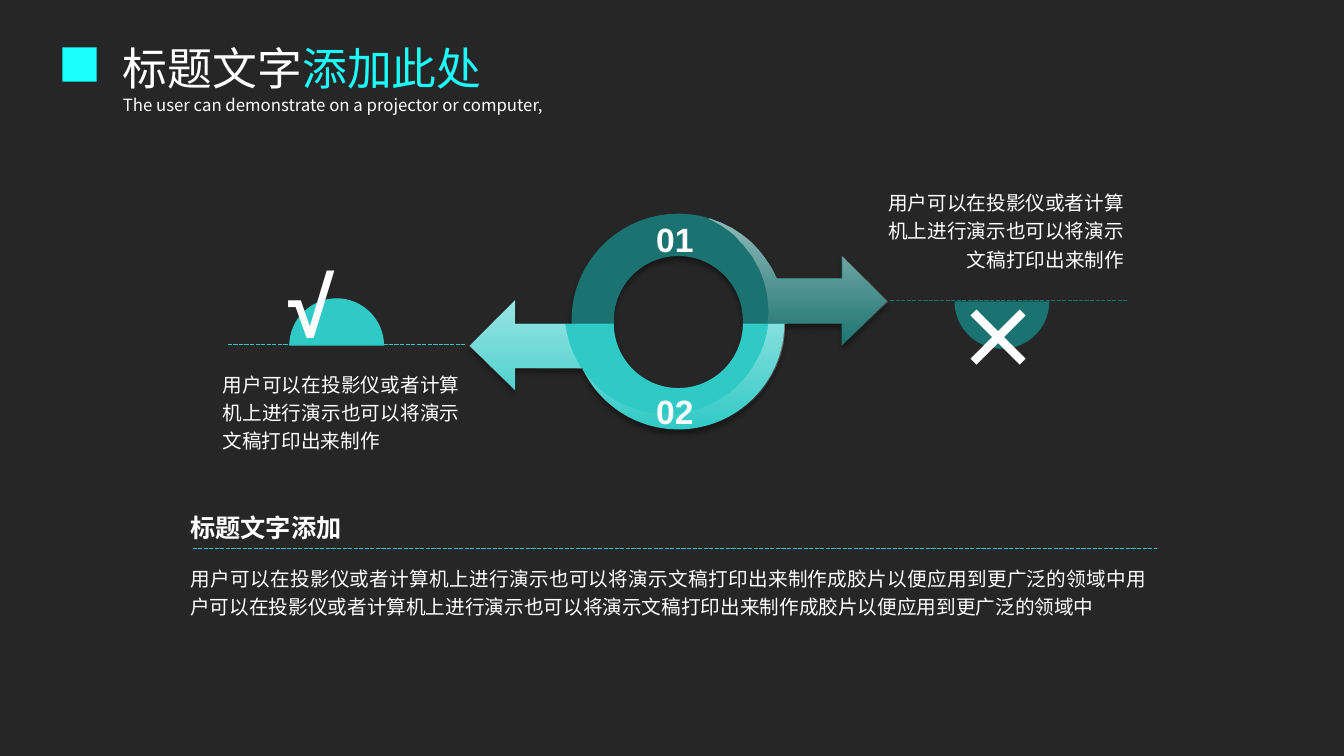
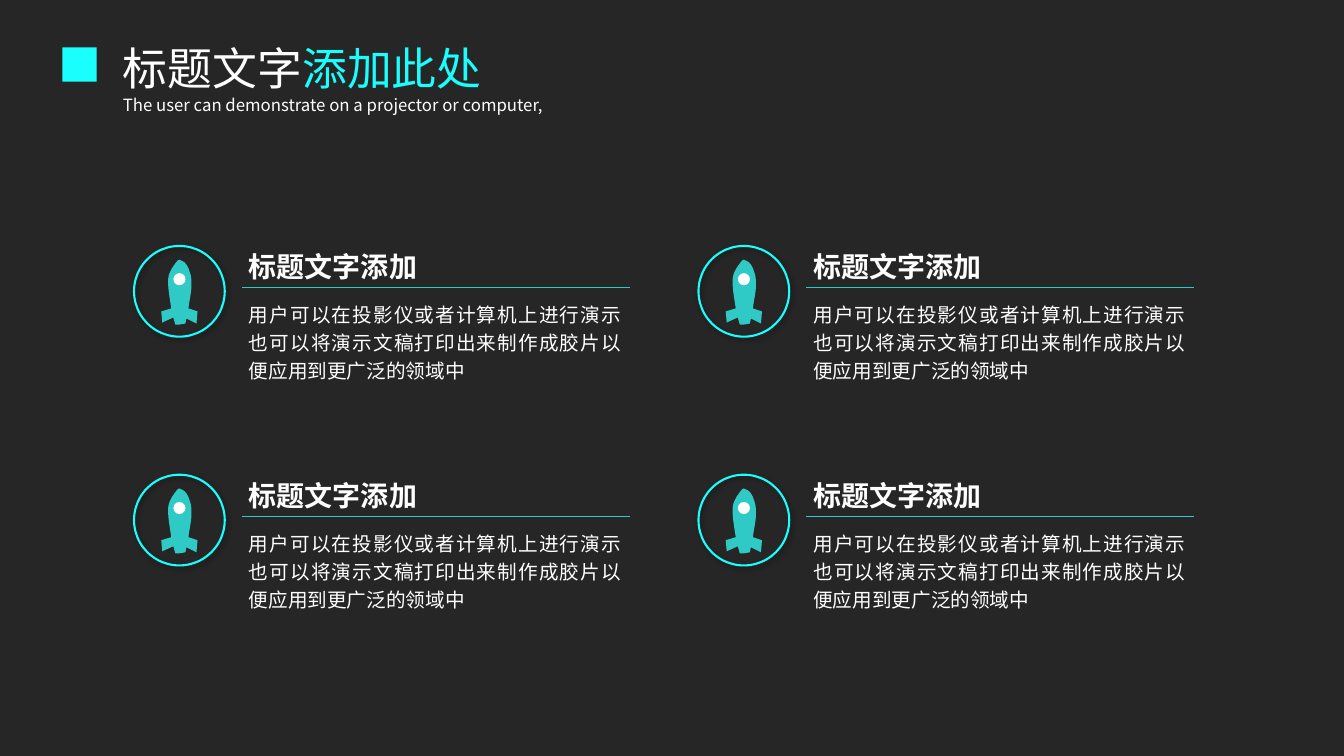
from math import ceil, cos, floor, radians, sin, tan

from pptx import Presentation
from pptx.dml.color import RGBColor
from pptx.enum.dml import MSO_LINE
from pptx.enum.shapes import MSO_CONNECTOR, MSO_SHAPE
from pptx.enum.text import MSO_AUTO_SIZE, PP_ALIGN
from pptx.oxml.ns import qn
from pptx.oxml.xmlchemy import OxmlElement
from pptx.util import Emu, Pt

PX = 9144  # 100 px to the inch
PAGE_WIDTH, PAGE_HEIGHT = Emu(12192000), Emu(6858000)

BLACK = "000000"
WHITE = "FFFFFF"
CYAN = "1AFFFE"
TURQUOISE = "30CAC6"
TEAL = "1B7371"

LATIN = "Arial"
CJK = "Noto Sans CJK SC"

OVAL = MSO_SHAPE.OVAL
RECTANGLE = MSO_SHAPE.RECTANGLE
STRAIGHT = MSO_CONNECTOR.STRAIGHT
DASHED = MSO_LINE.SQUARE_DOT
FIT_SHAPE = MSO_AUTO_SIZE.SHAPE_TO_FIT_TEXT
LEFT, CENTER, RIGHT, JUSTIFY = (
    PP_ALIGN.LEFT, PP_ALIGN.CENTER, PP_ALIGN.RIGHT, PP_ALIGN.JUSTIFY)

HEADING = "标题文字添加"
SHORT_BODY = "用户可以在投影仪或者计算机上进行演示也可以将演示文稿打印出来制作"
BODY = SHORT_BODY + "成胶片以便应用到更广泛的领域中"

# Offsets from the icon ring's top left corner; six numbers make a curve
ROCKET = [
    (37, 62), (36, 55, 33, 40, 34, 32), (35, 24, 40, 19, 42, 16),
    (44, 13, 46, 13, 48, 15), (51, 16, 54, 21, 55, 25),
    (57, 30, 57, 33, 57, 39), (57, 47, 55, 53, 54, 62),
    (63, 65), (62, 77), (52, 72), (51, 77), (45, 78), (41, 78), (39, 71),
    (28, 76), (27, 65)]


def rgb(color):
    return RGBColor.from_string(color)


def emu(*lengths):
    return [round(length * PX) for length in lengths]


def arc(x, y, radius, start, end):
    """A point and the curves after it, split at each quarter of the circle.

    Degrees run clockwise from the right.
    """
    low, high = sorted((start, end))
    quarters = range(floor(low / 90) + 1, ceil(high / 90))
    stops = [low, *(90 * quarter for quarter in quarters), high]
    if start > end:
        stops.reverse()
    angles = [radians(stop) for stop in stops]

    def on_circle(angle, pull=0):
        return (x + radius * (cos(angle) - pull * sin(angle)),
                y + radius * (sin(angle) + pull * cos(angle)))

    knots = [on_circle(angles[0])]
    for a, b in zip(angles, angles[1:]):
        pull = 4 / 3 * tan((b - a) / 4)
        knots.append(on_circle(a, pull) + on_circle(b, -pull) + on_circle(b))
    return knots


def style_shape(shape, fill=None, outline=None):
    shape.shadow.inherit = False
    if fill:
        shape.fill.solid()
        shape.fill.fore_color.rgb = rgb(fill)
    else:
        shape.fill.background()
    if outline:
        shape.line.color.rgb = rgb(outline)
        shape.line.width = Pt(1.5)
    else:
        shape.line.fill.background()
    return shape


def add_preset(page, kind, x, y, width, height, fill=None, outline=None):
    shape = page.shapes.add_shape(kind, *emu(x, y, width, height))
    return style_shape(shape, fill, outline)


def add_outline(page, knots, fill=None):
    """Closed outline: two numbers make a straight side, six a cubic curve."""
    start, *sides = [emu(*knot) for knot in knots]
    builder = page.shapes.build_freeform(*start, scale=1.0)
    builder.add_line_segments([side[-2:] for side in sides], close=True)
    shape = builder.convert_to_shape()
    segments = list(shape._element.spPr.iter(qn("a:lnTo")))
    for segment, side in zip(segments, sides):
        if len(side) == 6:
            curve = OxmlElement("a:cubicBezTo")
            for x, y in zip(side[::2], side[1::2]):
                point = OxmlElement("a:pt")
                point.set("x", str(x - shape.left))
                point.set("y", str(y - shape.top))
                curve.append(point)
            segment.getparent().replace(segment, curve)
    return style_shape(shape, fill)


def set_alpha(color, percent):
    alpha = OxmlElement("a:alpha")
    alpha.set("val", str(percent * 1000))
    color.append(alpha)


def set_fill_alpha(shape, *percents):
    colors = shape._element.spPr.iter(qn("a:srgbClr"))
    for color, percent in zip(colors, percents):
        set_alpha(color, percent)


def cast_shadow(shape, distance, direction):
    shadow = OxmlElement("a:outerShdw")
    shadow.set("blurRad", str(Pt(4)))
    shadow.set("dist", str(Pt(distance)))
    shadow.set("dir", str(direction * 60000))
    shadow.set("algn", "ctr")
    shadow.set("rotWithShape", "0")
    color = OxmlElement("a:srgbClr")
    color.set("val", BLACK)
    set_alpha(color, 40)
    shadow.append(color)
    shape._element.spPr.find(qn("a:effectLst")).append(shadow)


def add_sheen(page, knots):
    """White veil that fades out from top to bottom."""
    sheen = add_outline(page, knots)
    sheen.fill.gradient()
    sheen.fill.gradient_angle = 90
    for stop in sheen.fill.gradient_stops:
        stop.color.rgb = rgb(WHITE)
    set_fill_alpha(sheen, 0, 52)


def add_rule(page, x, y, end_x, color, width, dash=None):
    rule = page.shapes.add_connector(STRAIGHT, *emu(x, y, end_x, y))
    rule.line.color.rgb = rgb(color)
    rule.line.width = Pt(width)
    if dash:
        rule.line.dash_style = dash
    rule._element.spPr.append(OxmlElement("a:effectLst"))


def add_text(page, x, y, width, height, text, size, font=LATIN, bold=False,
             align=LEFT, spacing=None, wrap=True):
    box = page.shapes.add_textbox(*emu(x, y, width, height))
    frame = box.text_frame
    frame.word_wrap = wrap
    frame.auto_size = FIT_SHAPE
    para = frame.paragraphs[0]
    para.alignment = align
    if spacing:
        para.line_spacing = spacing
    para.add_run().text = text
    para.font.size = Pt(size)
    para.font.bold = bold
    para.font.color.rgb = rgb(WHITE)
    para.font.name = font
    east_asian = OxmlElement("a:ea")
    east_asian.set("typeface", font)
    para._p.pPr.find(qn("a:defRPr")).append(east_asian)
    return para


def add_body(page, x, y, width, height, text, align=JUSTIFY):
    add_text(page, x, y, width, height, text, 14, align=align, spacing=1.2)


def add_heading(page, x, y, height, size):
    add_text(page, x, y, 245, height, HEADING, size, bold=True, align=JUSTIFY,
             spacing=1.2)


def add_backdrop(deck, page):
    """Dark veil on the master; masters have no add_shape, so it is moved there."""
    veil = page.shapes.add_shape(RECTANGLE, 0, 0, PAGE_WIDTH, PAGE_HEIGHT)
    style_shape(veil, BLACK)
    set_fill_alpha(veil, 85)
    veil._element.nvSpPr.cNvPr.set("id", "20")
    deck.slide_master.shapes._spTree.insert(2, veil._element)


def add_page(deck):
    page = deck.slides.add_slide(deck.slide_layouts[6])
    title = add_text(page, 112, 36, 488, 64, "标题文字", 32, CJK)
    accent = title.add_run()
    accent.text = "添加此处"
    accent.font.color.rgb = rgb(CYAN)
    add_text(page, 112, 86, 662, 31,
             "The user can demonstrate on a projector or computer,", 12, CJK,
             spacing=1.14)
    add_preset(page, RECTANGLE, 62, 47, 34, 34, CYAN)
    return page


def add_ring(page):
    """Two half rings, each running out into an arrow."""
    right_arrow = [(835, 276), (835, 254), (880, 299), (835, 343), (835, 321)]
    left_arrow = [(511, 365), (511, 387), (466, 343), (511, 298), (511, 321)]
    lower_rim = arc(673, 321, 105, 0, 155)

    upper = add_outline(page, arc(673, 318, 106, 178, 336.6) + right_arrow
                        + arc(673, 318, 64, 3, -183), TEAL)
    cast_shadow(upper, 3, 90)
    add_sheen(page, arc(673, 318, 106, -73, -23) + right_arrow
              + arc(661, 309, 101, 7, -65))
    lower = add_outline(page, lower_rim + left_arrow
                        + arc(673, 321, 64, 180, 0), TURQUOISE)
    cast_shadow(lower, 3, 90)
    add_sheen(page, lower_rim + left_arrow + arc(661, 309, 101, 173, 7))


def add_comparison_page(deck):
    page = add_page(deck)
    add_backdrop(deck, page)
    add_ring(page)

    add_outline(page, arc(334, 343, 47, 180, 360), TURQUOISE)
    add_rule(page, 226, 342, 461, TURQUOISE, 1, DASHED)
    add_text(page, 276, 247, 91, 111, "√", 60, bold=True)
    add_rule(page, 883, 298, 1118, TEAL, 1, DASHED)
    add_outline(page, arc(994, 299, 47, 0, 180), TEAL)
    add_text(page, 939, 278, 70, 111, "×", 60, CJK, bold=True, wrap=False)

    for number, y in (("01", 212), ("02", 383)):
        add_text(page, 615, y, 109, 50, number, 24, bold=True, align=CENTER)
    add_body(page, 211, 360, 255, 95, SHORT_BODY)
    add_body(page, 870, 180, 255, 95, SHORT_BODY, RIGHT)

    add_rule(page, 191, 544, 1148, TURQUOISE, 1, DASHED)
    add_body(page, 179, 553, 969, 67, BODY * 2)
    add_heading(page, 179, 497, 44, 18)


def add_rocket_item(page, x, y):
    ring = add_preset(page, OVAL, x, y, 90, 90, outline=CYAN)
    cast_shadow(ring, 2, 45)
    add_rule(page, x + 107, y + 41, x + 492, TURQUOISE, 0.5)
    corner = (x, y) * 3
    add_outline(page, [tuple(base + offset for base, offset in zip(corner, knot))
                       for knot in ROCKET], TURQUOISE)
    add_preset(page, OVAL, x + 39, y + 27, 12, 12, WHITE)
    add_body(page, x + 104, y + 47, 389, 95, BODY)
    add_heading(page, x + 104, y - 8, 47, 20)


def add_rocket_page(deck):
    page = add_page(deck)
    for y in (244, 471):
        for x in (133, 693):
            add_rocket_item(page, x, y)


def main():
    deck = Presentation()
    deck.slide_width, deck.slide_height = PAGE_WIDTH, PAGE_HEIGHT
    add_comparison_page(deck)
    add_rocket_page(deck)
    deck.save("out.pptx")


if __name__ == "__main__":
    main()
